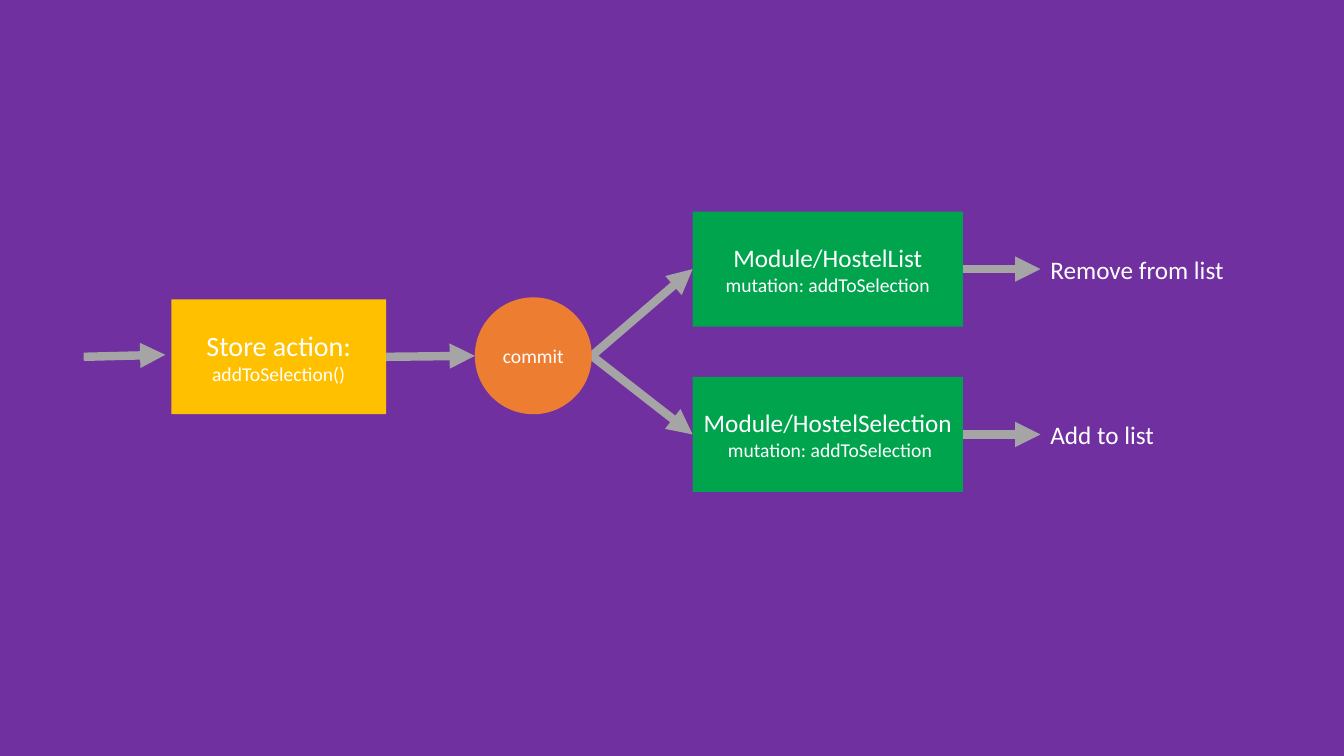
from dataclasses import dataclass

from lxml import etree
from pptx import Presentation
from pptx.dml.color import RGBColor
from pptx.enum import shapes, text
from pptx.oxml import ns
from pptx.util import Inches, Pt


@dataclass(frozen=True)
class Theme:
    font: str = "Calibri"
    background: str = "7030A0"
    action: str = "FFC000"
    commit: str = "ED7D31"
    module: str = "00A44D"
    arrow: str = "A5A5A5"
    ink: str = "FFFFFF"
    action_size: int = 20
    module_size: int = 18
    detail_size: int = 14
    arrow_width: int = 6


THEME = Theme()

ACTION = ("Store action:", "addToSelection()")
COMMIT = "commit"
MODULES = [  # name, mutation, outcome
    ("Module/HostelList", "mutation: addToSelection", "Remove from list"),
    ("Module/HostelSelection", " mutation: addToSelection", "Add to list"),
]

BOX_HEIGHT = 1.14
ACTION_LEFT, ACTION_TOP, ACTION_WIDTH = 1.7, 2.97, 2.13
COMMIT_LEFT, COMMIT_TOP, COMMIT_SIZE = 4.71, 2.95, 1.16
MODULE_LEFT, MODULE_TOP, MODULE_WIDTH, MODULE_STEP = 6.87, 2.1, 2.68, 1.64
OUTCOME_LEFT, OUTCOME_WIDTH, OUTCOME_HEIGHT = 10.32, 1.94, 0.4
LEFT_SIDE, RIGHT_SIDE = 1, 3


def color(value):
    return RGBColor.from_string(value)


def write(frame, lines, align):
    """Put (words, size) lines into one paragraph, split by line breaks."""
    frame.word_wrap = True
    para = frame.paragraphs[0]
    para.alignment = align
    for number, (words, size) in enumerate(lines):
        if number:
            para.add_line_break()
        span = para.add_run()
        span.text = words
        span.font.name = THEME.font
        span.font.size = Pt(size)
        span.font.color.rgb = color(THEME.ink)


def add_node(page, kind, place, fill, lines):
    node = page.shapes.add_shape(kind, *map(Inches, place))
    node.shadow.inherit = False
    node.fill.solid()
    node.fill.fore_color.rgb = color(fill)
    node.line.fill.background()
    node.text_frame.vertical_anchor = text.MSO_ANCHOR.MIDDLE
    write(node.text_frame, lines, text.PP_ALIGN.CENTER)
    return node


def add_arrow(page, start, end, source=None, target=None):
    """Draw an arrow, joined to the right of source and the left of target."""
    arrow = page.shapes.add_connector(
        shapes.MSO_CONNECTOR.STRAIGHT, *map(Inches, (*start, *end)))
    if source is not None:
        arrow.begin_connect(source, RIGHT_SIDE)
    if target is not None:
        arrow.end_connect(target, LEFT_SIDE)
    arrow.line.color.rgb = color(THEME.arrow)
    arrow.line.width = Pt(THEME.arrow_width)
    head = etree.SubElement(arrow.line._get_or_add_ln(), ns.qn("a:tailEnd"))
    head.set("type", "triangle")
    etree.SubElement(arrow._element.spPr, ns.qn("a:effectLst"))


def add_outcome(page, words, middle):
    box = page.shapes.add_textbox(
        Inches(OUTCOME_LEFT), Inches(middle - OUTCOME_HEIGHT / 2),
        Inches(OUTCOME_WIDTH), Inches(OUTCOME_HEIGHT))
    write(box.text_frame, [(words, THEME.module_size)], text.PP_ALIGN.LEFT)


def main():
    deck = Presentation()
    deck.slide_width, deck.slide_height = Inches(13.33), Inches(7.5)
    page = deck.slides.add_slide(deck.slide_layouts[6])
    page.background.fill.solid()
    page.background.fill.fore_color.rgb = color(THEME.background)

    rectangle = shapes.MSO_SHAPE.RECTANGLE
    action_middle = ACTION_TOP + BOX_HEIGHT / 2
    commit_middle = COMMIT_TOP + COMMIT_SIZE / 2
    commit_right = COMMIT_LEFT + COMMIT_SIZE

    action = add_node(
        page, rectangle, (ACTION_LEFT, ACTION_TOP, ACTION_WIDTH, BOX_HEIGHT),
        THEME.action, zip(ACTION, (THEME.action_size, THEME.detail_size)))
    add_arrow(page, (0.83, action_middle), (1.64, 3.52))
    add_arrow(page, (ACTION_LEFT + ACTION_WIDTH, action_middle),
              (COMMIT_LEFT, commit_middle), source=action)

    for row, (name, mutation, outcome) in enumerate(MODULES):
        top = MODULE_TOP + row * MODULE_STEP
        middle = top + BOX_HEIGHT / 2
        module = add_node(
            page, rectangle, (MODULE_LEFT, top, MODULE_WIDTH, BOX_HEIGHT),
            THEME.module,
            [(name, THEME.module_size), (mutation, THEME.detail_size)])
        add_arrow(page, (commit_right, commit_middle),
                  (MODULE_LEFT, middle), target=module)
        add_arrow(page, (MODULE_LEFT + MODULE_WIDTH, middle),
                  (OUTCOME_LEFT, middle), source=module)
        add_outcome(page, outcome, middle)

    add_node(page, shapes.MSO_SHAPE.OVAL,
             (COMMIT_LEFT, COMMIT_TOP, COMMIT_SIZE, COMMIT_SIZE),
             THEME.commit, [(COMMIT, THEME.detail_size)])
    deck.save("out.pptx")


if __name__ == "__main__":
    main()
